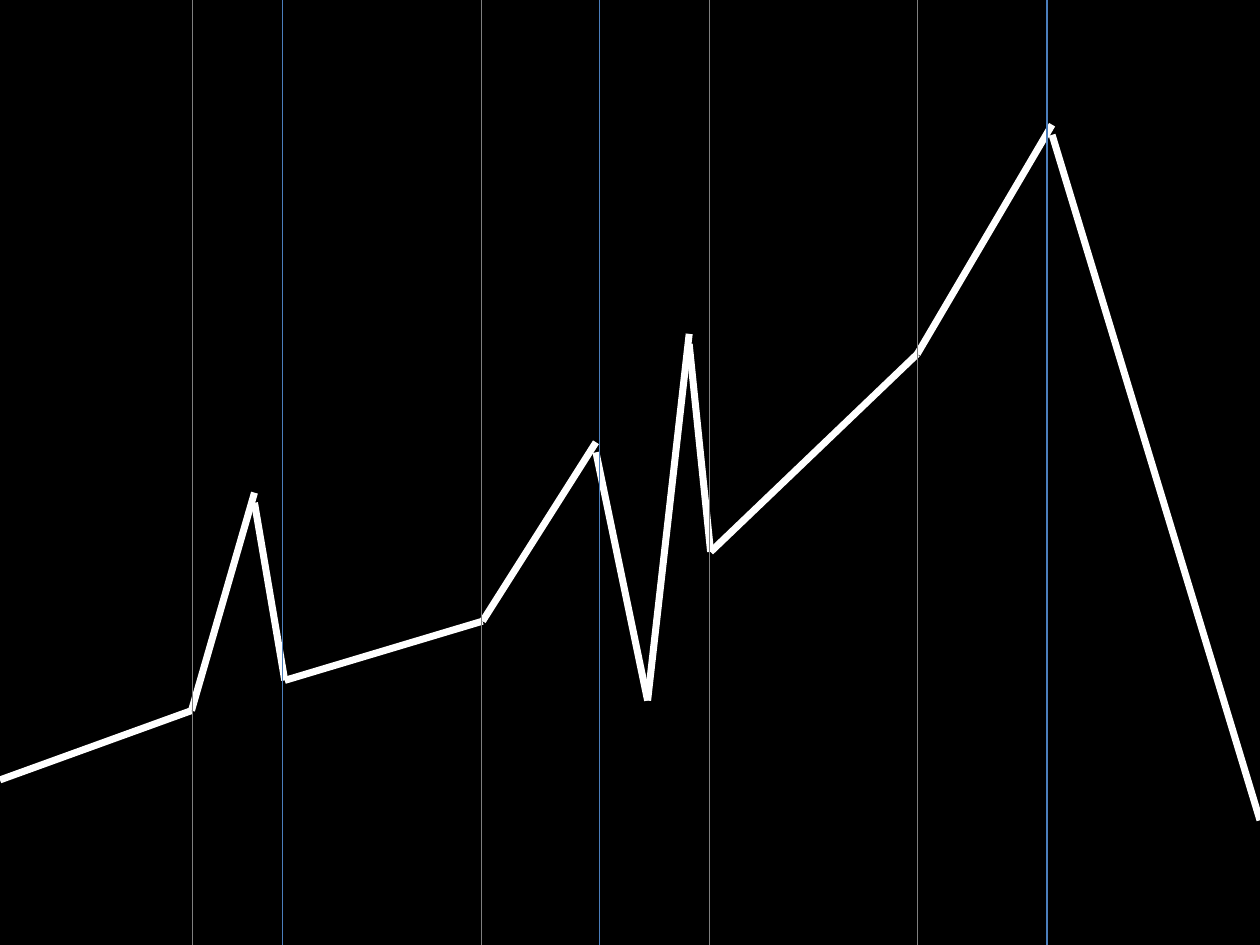
from pptx import Presentation
from pptx.dml.color import RGBColor
from pptx.enum.shapes import MSO_CONNECTOR
from pptx.oxml.ns import qn
from pptx.util import Inches, Pt

STRAIGHT = MSO_CONNECTOR.STRAIGHT
BLACK = RGBColor(0x00, 0x00, 0x00)
WHITE = RGBColor(0xFF, 0xFF, 0xFF)
GREY = RGBColor(0x7F, 0x7F, 0x7F)
BLUE = RGBColor(0x4B, 0x7E, 0xBC)

SLIDE_WIDTH, SLIDE_HEIGHT = 10, 7.5
PEAK_GAP = 0.08
TREND_POINTS = [
    (0, 6.19), (1.52, 5.64), (2.02, 3.91), (2.26, 5.4),
    (3.83, 4.93), (4.73, 3.51), (5.14, 5.56), (5.47, 2.65),
    (5.64, 4.38), (7.28, 2.81), (8.35, 0.99), (10, 6.51),
]
MARKERS = [
    (1.53, GREY), (2.24, BLUE), (3.82, GREY), (4.76, BLUE),
    (5.63, GREY), (7.28, GREY), (8.31, BLUE),
]


def add_line(slide, start, end, color, width):
    """Draw a straight line without a shadow between two points in inches."""
    line = slide.shapes.add_connector(
        STRAIGHT, *(Inches(length) for length in (*start, *end)))
    line.line.color.rgb = color
    line.line.width = Pt(width)
    properties = line._element.spPr
    properties.append(properties.makeelement(qn("a:effectLst"), {}))


def add_trend(slide, left, top, points):
    """Draw the trend, each fall starting slightly below its peak."""
    placed = [(left + x, top + y) for x, y in points]
    for start, end in zip(placed, placed[1:]):
        if end[1] > start[1]:
            start, end = end, (start[0], start[1] + PEAK_GAP)
        add_line(slide, start, end, WHITE, 4)


def add_markers(slide, left, top, height, markers):
    """Draw the thin vertical markers over the full height of the box."""
    for x, color in markers:
        add_line(slide, (left + x, top + height), (left + x, top), color, 0.75)


def main():
    """Build the slide and save the presentation."""
    presentation = Presentation()
    presentation.slide_width = Inches(SLIDE_WIDTH)
    presentation.slide_height = Inches(SLIDE_HEIGHT)
    slide = presentation.slides.add_slide(presentation.slide_layouts[6])
    slide.background.fill.solid()
    slide.background.fill.fore_color.rgb = BLACK
    add_trend(slide, 0, 0, TREND_POINTS)
    add_markers(slide, 0, 0, SLIDE_HEIGHT, MARKERS)
    presentation.save("out.pptx")


if __name__ == "__main__":
    main()
